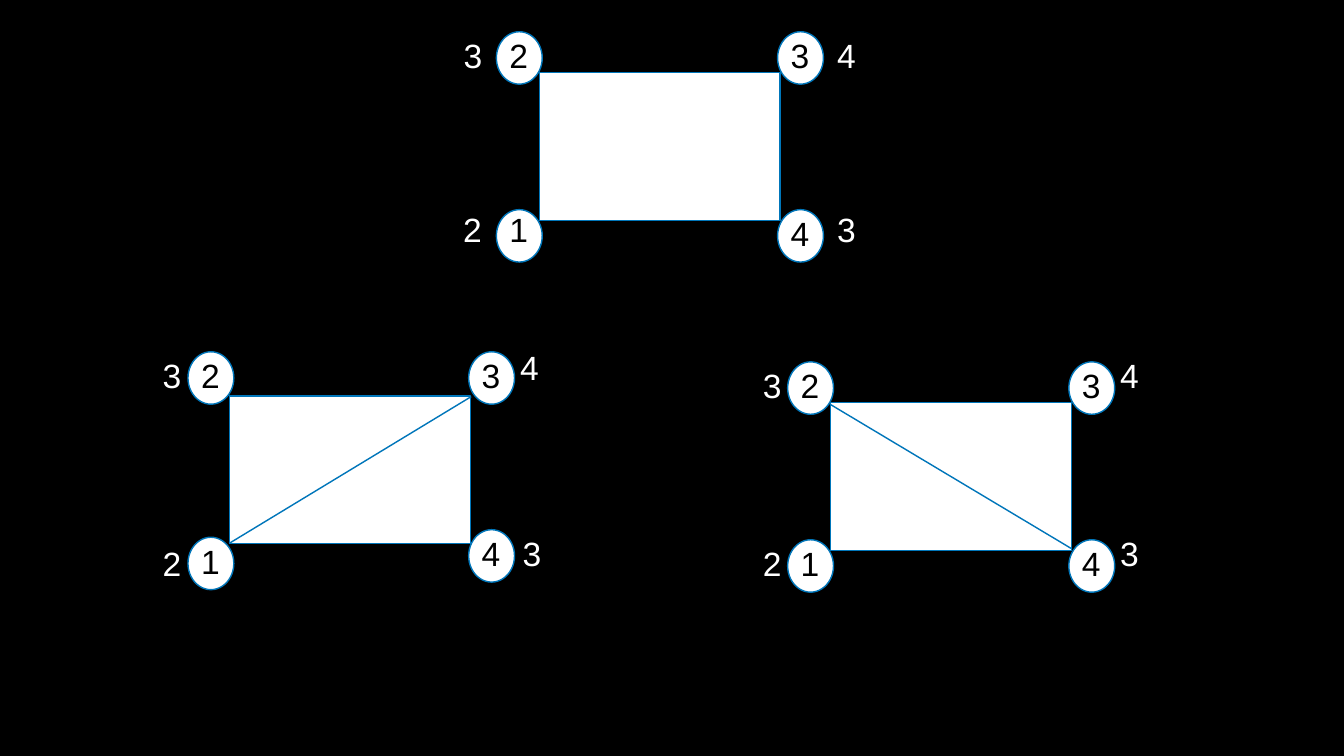
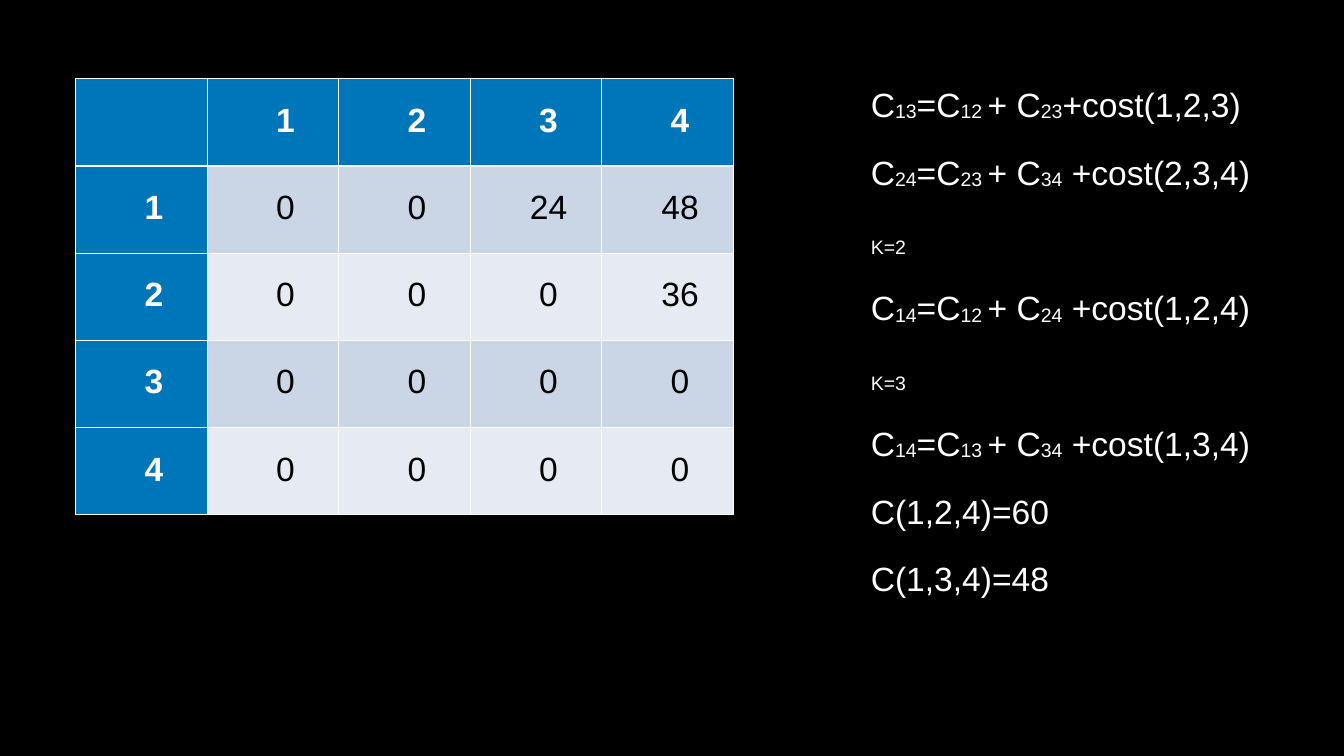
from dataclasses import dataclass

from lxml import etree
from pptx import Presentation
from pptx.dml.color import RGBColor
from pptx.enum.shapes import MSO_CONNECTOR as Connector, MSO_SHAPE as Preset
from pptx.enum.text import MSO_ANCHOR as Anchor, PP_ALIGN as Align
from pptx.oxml.ns import qn
from pptx.util import Inches, Pt

COLORS = {
    "background": "000000",
    "dark": "000000",
    "light": "FFFFFF",
    "accent": "0076BA",
    "odd_row": "CAD5E6",
    "even_row": "E6EBF3",
}
FONT = "Arial"
TEXT_SIZE = 48
SUBSCRIPT = "-5999"
RECTANGLE = (4.78, 2.93)
CIRCLE = (0.91, 1.04)
DIGIT = (0.5, 0.88)
INSET = 0.06


@dataclass
class Node:
    name: str
    x: float
    y: float
    weight: str
    weight_dx: float
    weight_dy: float
    name_dy: float = 0.08


@dataclass
class Graph:
    left: float
    top: float
    nodes: list
    diagonal: tuple = ()


GRAPHS = [
    Graph(10.7, 1.44, [
        Node("1", -0.85, 2.72, "2", -0.72, -0.01, -0.01),
        Node("2", -0.85, -0.81, "3", -0.71, 0.08),
        Node("3", 4.73, -0.81, "4", 1.12, 0.08),
        Node("4", 4.73, 2.72, "3", 1.12, -0.01),
    ]),
    Graph(4.56, 7.86, [
        Node("1", -0.83, 2.8, "2", -0.56, 0.13),
        Node("2", -0.83, -0.88, "3", -0.56, 0.08),
        Node("3", 4.74, -0.88, "4", 0.96, -0.09),
        Node("4", 4.74, 2.65, "3", 1.01, 0.08),
    ], (-0.01, 2.92, 4.79, 0.01)),
    Graph(16.48, 7.99, [
        Node("1", -0.85, 2.72, "2", -0.55, 0.08),
        Node("2", -0.85, -0.81, "3", -0.55, 0.08),
        Node("3", 4.73, -0.81, "4", 0.96, -0.12),
        Node("4", 4.73, 2.72, "3", 0.96, -0.12),
    ], (-0.01, 0.03, 4.79, 2.9)),
]

COSTS = [
    ["", "1", "2", "3", "4"],
    ["1", "0", "0", "24", "48"],
    ["2", "0", "0", "0", "36"],
    ["3", "0", "0", "0", "0"],
    ["4", "0", "0", "0", "0"],
]

FORMULAS = [
    "C|13|=C|12 |+ C|23|+cost(1,2,3)",
    "C|24|=C|23 |+ C|34| +cost(2,3,4)",
    "|K=2",
    "C|14|=C|12 |+ C|24| +cost(1,2,4)",
    "|K=3",
    "C|14|=C|13 |+ C|34| +cost(1,3,4)",
    "C(1,2,4)=60",
    "C(1,3,4)=48",
]


def rgb(name):
    return RGBColor.from_string(COLORS[name])


def space_paragraph(paragraph):
    paragraph.line_spacing = 0.9
    paragraph.space_before = Pt(45)


def add_run(paragraph, text, color, bold=False, subscript=False):
    run = paragraph.add_run()
    run.text = text
    run.font.name = FONT
    run.font.size = Pt(TEXT_SIZE)
    run.font.bold = bold
    run.font.color.rgb = rgb(color)
    if subscript:
        run.font._element.set("baseline", SUBSCRIPT)


def add_text_frame(slide, left, top, width, height, wrap):
    box = slide.shapes.add_textbox(Inches(left), Inches(top), Inches(width), Inches(height))
    frame = box.text_frame
    frame.word_wrap = wrap
    frame.margin_left = frame.margin_right = Inches(INSET)
    frame.margin_top = frame.margin_bottom = Inches(INSET)
    return frame


def add_digit(slide, left, top, text, color):
    frame = add_text_frame(slide, left, top, *DIGIT, wrap=False)
    frame.vertical_anchor = Anchor.MIDDLE
    paragraph = frame.paragraphs[0]
    space_paragraph(paragraph)
    add_run(paragraph, text, color)


def add_outlined_shape(slide, preset, left, top, size):
    width, height = size
    shape = slide.shapes.add_shape(preset, Inches(left), Inches(top), Inches(width), Inches(height))
    shape.shadow.inherit = False
    shape.fill.solid()
    shape.fill.fore_color.rgb = rgb("light")
    shape.line.color.rgb = rgb("accent")
    shape.line.width = Pt(2)


def add_diagonal(slide, left, top, ends):
    x1, y1, x2, y2 = ends
    line = slide.shapes.add_connector(
        Connector.STRAIGHT,
        Inches(left + x1), Inches(top + y1), Inches(left + x2), Inches(top + y2))
    line.line.color.rgb = rgb("accent")
    line.line.width = Pt(2)
    etree.SubElement(line._element.spPr, qn("a:effectLst"))


def add_graph(slide, graph):
    add_outlined_shape(slide, Preset.RECTANGLE, graph.left, graph.top, RECTANGLE)
    if graph.diagonal:
        add_diagonal(slide, graph.left, graph.top, graph.diagonal)
    for node in graph.nodes:
        left, top = graph.left + node.x, graph.top + node.y
        add_outlined_shape(slide, Preset.OVAL, left, top, CIRCLE)
        add_digit(slide, left + 0.2, top + node.name_dy, node.name, "dark")
        add_digit(slide, left + node.weight_dx, top + node.weight_dy, node.weight, "light")


def add_cell_borders(cell, widths):
    properties = cell._tc.get_or_add_tcPr()
    for side, width in widths.items():
        border = etree.SubElement(properties, qn(f"a:ln{side}"), w=str(Pt(width)))
        fill = etree.SubElement(border, qn("a:solidFill"))
        etree.SubElement(fill, qn("a:srgbClr"), val=COLORS["light"])


def format_cell(cell, text, row, column):
    heading = row == 0 or column == 0
    add_cell_borders(cell, {"L": 1, "R": 1, "T": 3 if row == 1 else 1, "B": 3 if row == 0 else 1})
    cell.fill.solid()
    cell.fill.fore_color.rgb = rgb("accent" if heading else "odd_row" if row % 2 else "even_row")
    cell.vertical_anchor = Anchor.MIDDLE
    cell.margin_left = cell.margin_right = cell.margin_top = cell.margin_bottom = 0
    if text:
        paragraph = cell.text_frame.paragraphs[0]
        paragraph.alignment = Align.CENTER
        space_paragraph(paragraph)
        paragraph._p.get_or_add_pPr().set("indent", str(Inches(0.5)))
        add_run(paragraph, text, "light" if heading else "dark", bold=heading)


def add_cost_table(slide, left, top, width, height):
    count = len(COSTS)
    table = slide.shapes.add_table(
        count, count, Inches(left), Inches(top), Inches(width), Inches(height)).table
    for row, values in enumerate(COSTS):
        for column, text in enumerate(values):
            format_cell(table.cell(row, column), text, row, column)


def add_formulas(slide, left, top, width, height):
    frame = add_text_frame(slide, left, top, width, height, wrap=True)
    frame.vertical_anchor = Anchor.TOP
    frame.margin_top = Inches(1.05)
    for index, formula in enumerate(FORMULAS):
        paragraph = frame.add_paragraph() if index else frame.paragraphs[0]
        space_paragraph(paragraph)
        for position, part in enumerate(formula.split("|")):
            if part:
                add_run(paragraph, part, "light", subscript=position % 2 == 1)


def add_graph_slide(presentation):
    slide = presentation.slides.add_slide(presentation.slide_layouts[6])
    for graph in GRAPHS:
        add_graph(slide, graph)


def add_cost_slide(presentation):
    slide = presentation.slides.add_slide(presentation.slide_layouts[6])
    add_cost_table(slide, 1.5, 1.56, 13.05, 8.65)
    add_formulas(slide, 17.22, 0.7, 7.86, 12.94)


def main():
    presentation = Presentation()
    presentation.slide_width = Inches(26.67)
    presentation.slide_height = Inches(15)
    background = presentation.slide_master.background.fill
    background.solid()
    background.fore_color.rgb = rgb("background")
    add_graph_slide(presentation)
    add_cost_slide(presentation)
    presentation.save("out.pptx")


if __name__ == "__main__":
    main()
